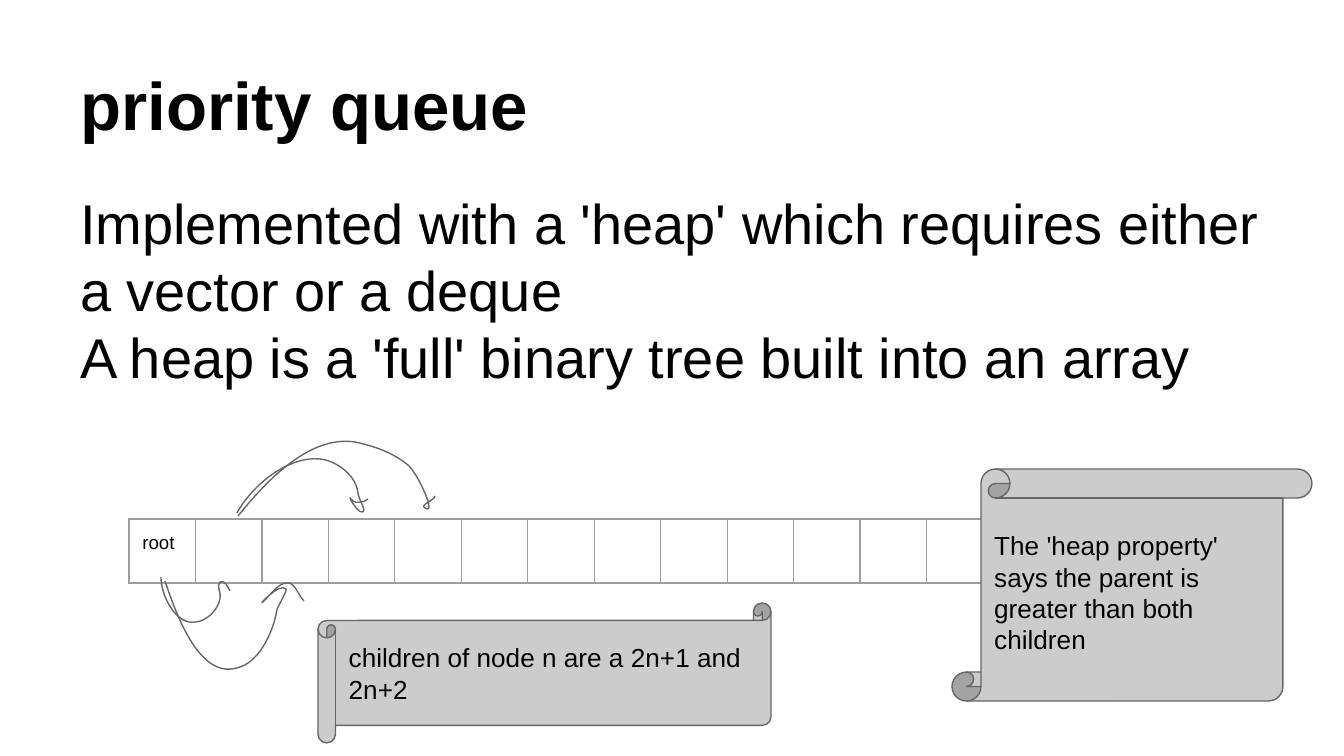
import pptx
import pptx.util
import pptx.oxml
import pptx.dml.color
import pptx.enum.shapes
import pptx.enum.text

BLACK = pptx.dml.color.RGBColor(0x00, 0x00, 0x00)
SCROLL_GREY = pptx.dml.color.RGBColor(0xCC, 0xCC, 0xCC)
LINE_GREY = pptx.dml.color.RGBColor(0x66, 0x66, 0x66)
BORDER_GREY = pptx.dml.color.RGBColor(0x9E, 0x9E, 0x9E)

SCALE = 914400 / 134.4
CELL_COUNT = 16
DRAWING = 'xmlns:a="http://schemas.openxmlformats.org/drawingml/2006/main"'
INSET = pptx.util.Inches(0.1)
MARGINS = {f"margin_{side}": INSET for side in ("left", "right", "top", "bottom")}
SHAPE = pptx.enum.shapes.MSO_SHAPE
ANCHOR = pptx.enum.text.MSO_ANCHOR

CHILD_ARROWS = [
    [(32, 58), (32, 78), (48, 107), (67, 103), (78, 102), (89, 91), (91, 80),
     (93, 75), (87, 67), (91, 63), (95, 60), (99, 68), (101, 72)],
    [(36, 62), (48, 98), (71, 160), (108, 149), (130, 144), (144, 114), (148, 91),
     (149, 87), (159, 71), (157, 70), (151, 63), (128, 88), (134, 83),
     (142, 76), (149, 63), (160, 64), (167, 66), (169, 76), (175, 82)],
    [(108, -6), (125, -37), (167, -69), (200, -58), (214, -53), (227, -41), (229, -27),
     (229, -20), (239, -7), (233, -7), (227, -7), (218, -26), (222, -20),
     (224, -15), (235, -16), (239, -20)],
    [(109, -3), (138, -39), (181, -84), (226, -77), (245, -73), (265, -66), (280, -53),
     (290, -43), (308, -3), (296, -11), (290, -14), (305, -18), (306, -23)],
]


def emu(pixels):
    return pptx.util.Emu(round(pixels * SCALE))


def set_attributes(target, values):
    for name, value in values.items():
        setattr(target, name, value)


def write_text(frame, lines, size, anchor, bold=False):
    set_attributes(frame, {
        "word_wrap": True,
        "auto_size": pptx.enum.text.MSO_AUTO_SIZE.NONE,
        "vertical_anchor": anchor,
        **MARGINS,
    })
    for index, line in enumerate(lines):
        para = frame.add_paragraph() if index else frame.paragraphs[0]
        para.alignment = pptx.enum.text.PP_ALIGN.LEFT
        span = para.add_run()
        span.text = line
        set_attributes(span.font, {"name": "Arial", "size": pptx.util.Pt(size), "bold": bold})
        span.font.color.rgb = BLACK


def outline(shape):
    shape.shadow.inherit = False
    shape.line.color.rgb = LINE_GREY
    shape.line.width = pptx.util.Pt(0.75)


def place_title(page, box, text):
    title = page.shapes.title
    set_attributes(title, dict(zip(("left", "top", "width", "height"), map(emu, box))))
    write_text(title.text_frame, [text], 36, ANCHOR.BOTTOM, bold=True)


def place_body(page, box, lines):
    body = page.shapes.add_textbox(*map(emu, box))
    write_text(body.text_frame, lines, 30, ANCHOR.TOP)


def border_cell(cell):
    properties = cell._tc.get_or_add_tcPr()
    for position, side in enumerate(("lnL", "lnR", "lnT", "lnB")):
        properties.insert(position, pptx.oxml.parse_xml(
            f'<a:{side} {DRAWING} w="9525"><a:solidFill>'
            f'<a:srgbClr val="{BORDER_GREY}"/></a:solidFill></a:{side}>'))


def place_heap_array(page, box):
    table = page.shapes.add_table(1, CELL_COUNT, *map(emu, box)).table
    set_attributes(table, {"first_row": False, "horz_banding": False})
    for column in table.columns:
        column.width = emu(box[2] / CELL_COUNT)
    for cell in table.rows[0].cells:
        set_attributes(cell, {"margin_top": emu(10), "margin_bottom": emu(10)})
        cell.fill.background()
        border_cell(cell)
    root = table.cell(0, 0)
    set_attributes(root, MARGINS)
    span = root.text_frame.paragraphs[0].add_run()
    span.text = "root"
    set_attributes(span.font, {"name": "Arial", "size": pptx.util.Pt(10)})
    span.font.color.rgb = BLACK
    for arrow in CHILD_ARROWS:
        place_curve(page, box, arrow)


def place_curve(page, box, controls):
    placed = [(emu(box[0] + x), emu(box[1] + y)) for x, y in controls]
    anchors = placed[::3]
    builder = page.shapes.build_freeform(*anchors[0])
    builder.add_line_segments(anchors[1:], close=False)
    curve = builder.convert_to_shape()
    for index, segment in enumerate(curve._element.xpath(".//a:lnTo")):
        points = "".join(f'<a:pt x="{x - curve.left}" y="{y - curve.top}"/>'
                         for x, y in placed[3 * index + 1:3 * index + 4])
        segment.getparent().replace(segment, pptx.oxml.parse_xml(
            f'<a:cubicBezTo {DRAWING}>{points}</a:cubicBezTo>'))
    curve.fill.background()
    outline(curve)


def place_scroll(page, box, kind, text):
    scroll = page.shapes.add_shape(kind, *map(emu, box))
    scroll.adjustments[0] = 0.125
    scroll.fill.solid()
    scroll.fill.fore_color.rgb = SCROLL_GREY
    outline(scroll)
    write_text(scroll.text_frame, [text], 14, ANCHOR.MIDDLE)


deck = pptx.Presentation()
deck.slide_width, deck.slide_height = emu(1344), emu(756)
page = deck.slides.add_slide(deck.slide_layouts[5])
place_title(page, (67, 31, 1210, 126), "priority queue")
place_body(page, (67, 175, 1210, 255), [
    "Implemented with a 'heap' which requires either a vector or a deque",
    "A heap is a 'full' binary tree built into an array",
])
place_heap_array(page, (129, 519, 1064, 64))
place_scroll(page, (318, 603, 453, 140), SHAPE.HORIZONTAL_SCROLL,
             "children of node n are a 2n+1 and 2n+2")
place_scroll(page, (952, 469, 360, 232), SHAPE.VERTICAL_SCROLL,
             "The 'heap property' says the parent is greater than both children")
deck.save("out.pptx")
